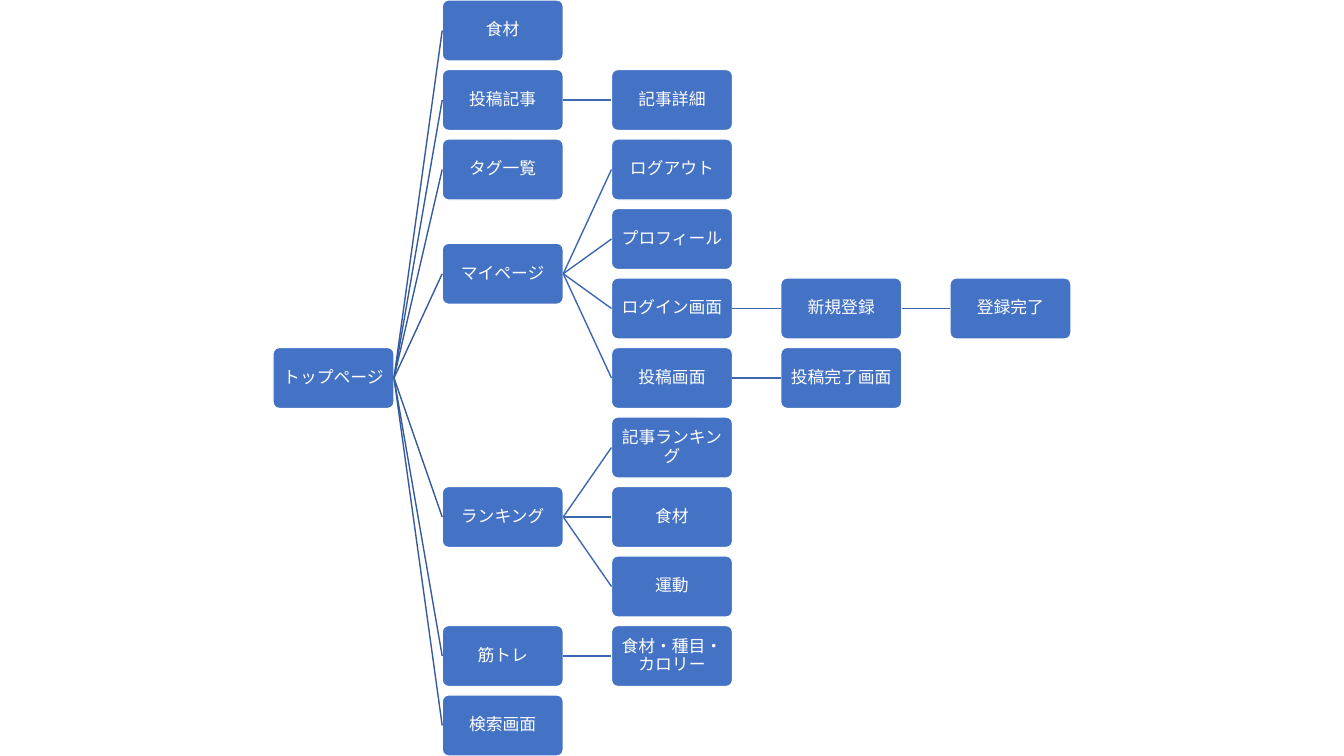
from lxml.etree import SubElement as Sub
from pptx import Presentation
from pptx.dml.color import RGBColor as Rgb
from pptx.enum.shapes import MSO_CONNECTOR as Link, MSO_SHAPE as Shape
from pptx.enum.text import MSO_ANCHOR as Anchor, PP_ALIGN as Align
from pptx.oxml.ns import qn
from pptx.util import Pt

SCALE = 914400 / 100.8
WIDE, HIGH = 1344, 756
BOX_W, BOX_H = 121, 61
LEFT, RIGHT = 273, 950  # left edges of the first and last columns
COL = (RIGHT - LEFT) / 4
ROW = (HIGH - BOX_H) / 10
FONT = "Noto Sans CJK JP"
COLORS = {"box": "4472C4", "edge": "FFFFFF", "text": "FFFFFF",
          "trunk": "365B9D", "twig": "3E67B2"}

# A page is (label, row) when it ends a branch, else (label, list of pages).
SITE = ("トップページ", [
    ("食材", 0),
    ("投稿記事", [("記事詳細", 1)]),
    ("タグ一覧", 2),
    ("マイページ", [
        ("ログアウト", 2),
        ("プロフィール", 3),
        ("ログイン画面", [("新規登録", [("登録完了", 4)])]),
        ("投稿画面", [("投稿完了画面", 5)]),
    ]),
    ("ランキング", [("記事ランキング", 6), ("食材", 7), ("運動", 8)]),
    ("筋トレ", [("食材・種目・カロリー", 9)]),
    ("検索画面", 10),
])


def emu(px):
    """Turn pixels into EMU."""
    return round(px * SCALE)


def color(name):
    """Look up a colour by its role."""
    return Rgb.from_string(COLORS[name])


def row_of(page):
    """Give the row of a page: its own, or midway between its end children."""
    below = page[1]
    if isinstance(below, int):
        return below
    return (row_of(below[0]) + row_of(below[-1])) / 2


def add_text(box, label):
    """Write a centred label in a box."""
    frame = box.text_frame
    frame.word_wrap = True
    frame.vertical_anchor = Anchor.MIDDLE
    frame.margin_left = frame.margin_right = emu(1)
    frame.margin_top = frame.margin_bottom = emu(1)
    para = frame.paragraphs[0]
    para.alignment = Align.CENTER
    para.line_spacing = 0.9
    para.space_after = Pt(4.2)
    run = para.add_run()
    run.text = label
    run.font.size = Pt(12)
    run.font.name = FONT
    run.font.color.rgb = color("text")
    Sub(run.font._element, qn("a:ea"), typeface=FONT)


def add_box(slide, label, col, row):
    """Draw the rounded box of one page."""
    box = slide.shapes.add_shape(
        Shape.ROUNDED_RECTANGLE, emu(LEFT + col * COL), emu(row * ROW),
        emu(BOX_W), emu(BOX_H))
    box.adjustments[0] = 0.1
    box.shadow.inherit = False
    box.fill.solid()
    box.fill.fore_color.rgb = color("box")
    box.line.color.rgb = color("edge")
    box.line.width = Pt(1)
    add_text(box, label)
    return box


def add_link(slide, start, end, tone):
    """Join the right side of one box to the left side of another."""
    link = slide.shapes.add_connector(Link.STRAIGHT, 0, 0, 0, 0)
    link.begin_connect(start, 3)
    link.end_connect(end, 1)
    link.line.color.rgb = color(tone)
    link.line.width = Pt(1)
    Sub(link._element.spPr, qn("a:effectLst"))


def add_tree(slide, page, col=0):
    """Draw a page and all pages below it, and return its box."""
    label, below = page
    box = add_box(slide, label, col, row_of(page))
    if isinstance(below, list):
        for child in below:
            add_link(slide, box, add_tree(slide, child, col + 1),
                     "twig" if col else "trunk")
    return box


def main():
    """Build the site map slide."""
    deck = Presentation()
    deck.slide_width, deck.slide_height = emu(WIDE), emu(HIGH)
    slide = deck.slides.add_slide(deck.slide_layouts[6])
    add_tree(slide, SITE)
    deck.save("out.pptx")


main()
